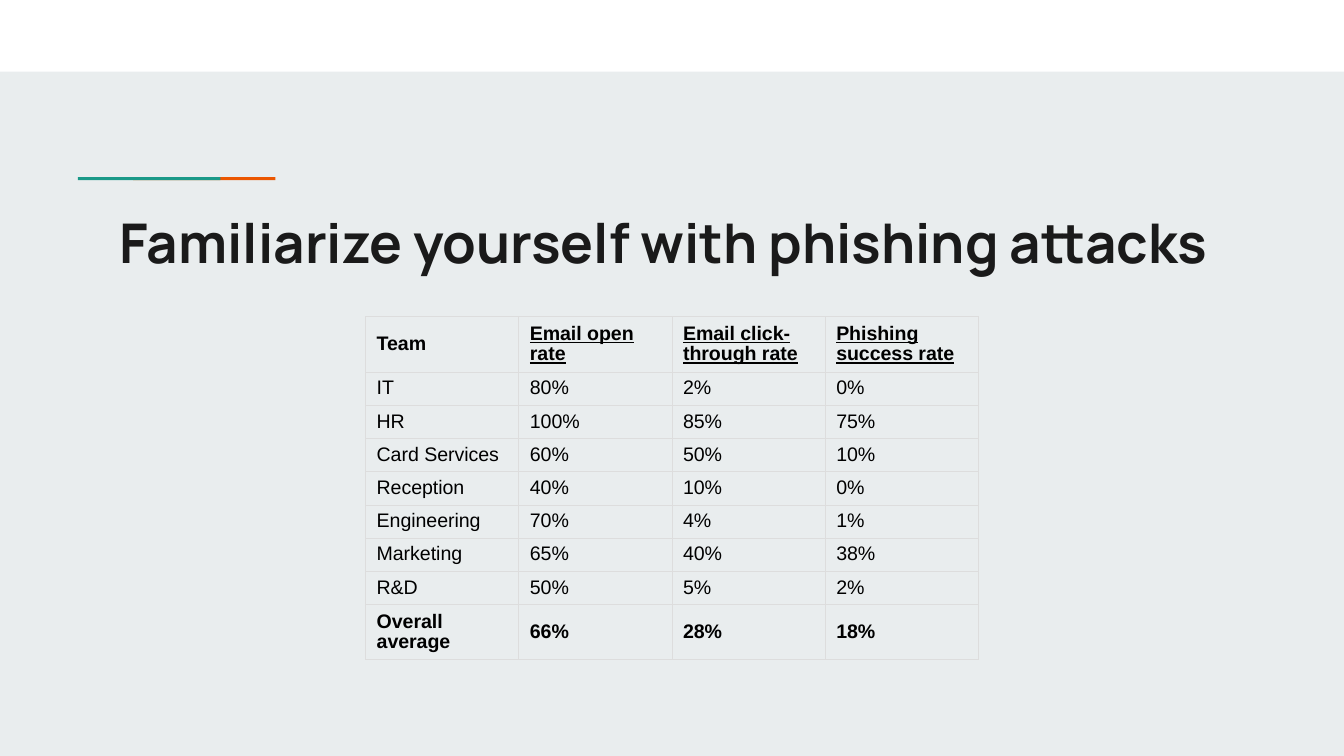
from lxml import etree
from pptx import Presentation
from pptx import util as u
from pptx.dml import color
from pptx.enum import shapes, text
from pptx.oxml import ns

COLORS = {
    "background": "E9EDEE", "band": "FFFFFF", "teal": "1A9988",
    "orange": "EB5600", "title": "1A1A1A", "body": "000000", "border": "DDDDDD",
}
TITLE_FONT = {"name": "Manrope", "size": u.Pt(29.3), "bold": True}
CELL_FORMAT = {
    "vertical_anchor": text.MSO_ANCHOR.MIDDLE,
    "margin_left": u.Pt(6), "margin_right": u.Pt(6),
    "margin_top": u.Pt(3), "margin_bottom": u.Pt(3),
}
ROWS = [
    ("Team", "Email open rate", "Email click-through rate", "Phishing success rate"),
    ("IT", "80%", "2%", "0%"),
    ("HR", "100%", "85%", "75%"),
    ("Card Services", "60%", "50%", "10%"),
    ("Reception", "40%", "10%", "0%"),
    ("Engineering", "70%", "4%", "1%"),
    ("Marketing", "65%", "40%", "38%"),
    ("R&D", "50%", "5%", "2%"),
    ("Overall average", "66%", "28%", "18%"),
]

# Widescreen slide, 16:9
presentation = Presentation()
presentation.slide_width = u.Inches(10)
presentation.slide_height = u.Emu(presentation.slide_width * 9 // 16)
slide = presentation.slides.add_slide(presentation.slide_layouts[6])


def area(left, top, width, height):
    """Turn percentages of the slide into lengths."""
    column, row = presentation.slide_width / 100, presentation.slide_height / 100
    return [u.Emu(round(length)) for length in
            (left * column, top * row, width * column, height * row)]


def write(paragraph, words, color_name, font_format):
    run = paragraph.add_run()
    run.text = words
    run.font.color.rgb = color.RGBColor.from_string(COLORS[color_name])
    for name, value in font_format.items():
        setattr(run.font, name, value)


# Background
slide.background.fill.solid()
slide.background.fill.fore_color.rgb = color.RGBColor.from_string(COLORS["background"])

# Top band and the two overlapping accent bars
for color_name, place in [
    ("band", (0, 0, 100, 9.5)),
    ("orange", (9.9, 23.42, 10.6, 0.4)),
    ("teal", (5.8, 23.42, 10.6, 0.4)),
]:
    shape = slide.shapes.add_shape(shapes.MSO_SHAPE.RECTANGLE, *area(*place))
    shape.shadow.inherit = False
    shape.fill.solid()
    shape.fill.fore_color.rgb = color.RGBColor.from_string(COLORS[color_name])
    shape.line.fill.background()

# Title
title_frame = slide.shapes.add_textbox(*area(7.9, 25.78, 87.8, 32.4)).text_frame
title_frame.word_wrap = True
for side in ("left", "right", "top", "bottom"):
    setattr(title_frame, f"margin_{side}", u.Inches(0.1))
write(title_frame.paragraphs[0], "Familiarize yourself with phishing attacks",
      "title", TITLE_FONT)

# Table: equal columns, taller first and last rows
table = slide.shapes.add_table(
    len(ROWS), len(ROWS[0]), *area(27.2, 41.9, 45.6, 45.2)).table
last = len(ROWS) - 1
for row_index, values in enumerate(ROWS):
    strong = row_index in (0, last)
    table.rows[row_index].height = area(0, 0, 0, 7.25 if strong else 4.38)[3]
    for column_index, value in enumerate(values):
        cell = table.cell(row_index, column_index)
        for name, setting in CELL_FORMAT.items():
            setattr(cell, name, setting)
        paragraph = cell.text_frame.paragraphs[0]
        paragraph.line_spacing = 0.94
        write(paragraph, value, "body", {
            "name": "Arial", "size": u.Pt(10.5), "bold": strong,
            "underline": row_index == 0 and column_index > 0,
        })

        # Borders come before the fill in the cell properties
        properties = cell._tc.get_or_add_tcPr()
        for edge in ("a:lnL", "a:lnR", "a:lnT", "a:lnB"):
            line = etree.SubElement(properties, ns.qn(edge), w=str(u.Pt(0.5)))
            fill = etree.SubElement(line, ns.qn("a:solidFill"))
            etree.SubElement(fill, ns.qn("a:srgbClr"), val=COLORS["border"])
        cell.fill.solid()
        cell.fill.fore_color.rgb = color.RGBColor.from_string(COLORS["background"])

presentation.save("out.pptx")
